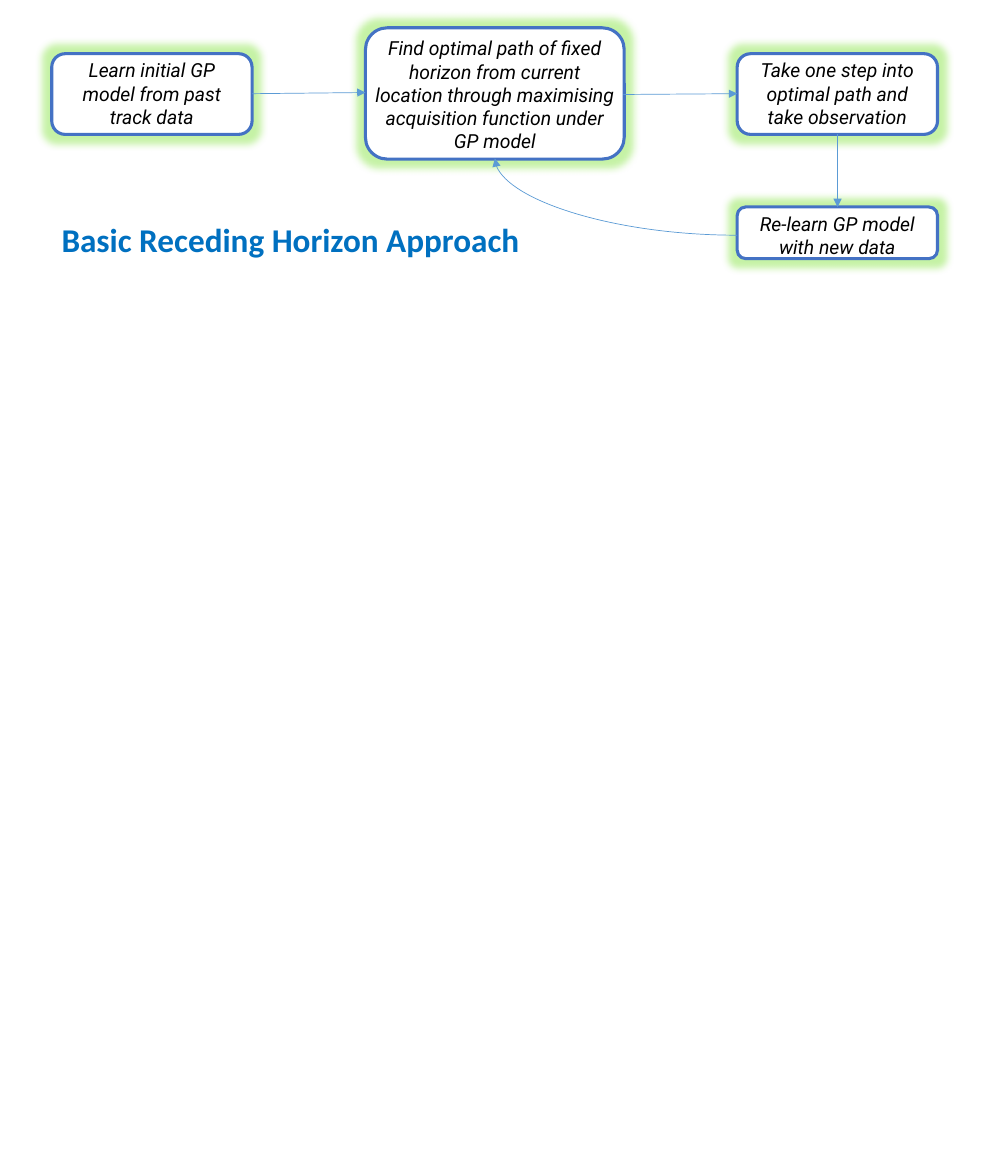
"""Build the Basic Receding Horizon Approach flow slide."""
import pptx
import pptx.util
import pptx.dml.color
import pptx.enum.shapes
import pptx.enum.text
import pptx.oxml
from lxml import etree

Cm, Pt = pptx.util.Cm, pptx.util.Pt
SHAPE = pptx.enum.shapes.MSO_SHAPE
LINK = pptx.enum.shapes.MSO_CONNECTOR
ALIGN = pptx.enum.text.PP_ALIGN
A = "http://schemas.openxmlformats.org/drawingml/2006/main"


def color(hex_value):
    return pptx.dml.color.RGBColor.from_string(hex_value)


def add_text(box, words, font, size, hex_value, align, bold=False, italic=False):
    textbox = slide.shapes.add_textbox(*[Cm(length) for length in box])
    textbox.text_frame.word_wrap = True
    textbox.text_frame.auto_size = pptx.enum.text.MSO_AUTO_SIZE.SHAPE_TO_FIT_TEXT
    paragraph = textbox.text_frame.paragraphs[0]
    paragraph.alignment = align
    run = paragraph.add_run()
    run.text = words
    run.font.name, run.font.size = font, Pt(size)
    run.font.bold, run.font.italic = bold, italic
    run.font.color.rgb = color(hex_value)


deck = pptx.Presentation()
deck.slide_width, deck.slide_height = Cm(25.4), Cm(30)
slide = deck.slides.add_slide(deck.slide_layouts[6])

STEP_WIDTH, STEP_HEIGHT = 5.11, 2.06
FIRST_LEFT, LAST_LEFT, STEP_TOP = 1.32, 18.8, 1.37
steps = [
    ("Learn initial GP model from past track data",
     FIRST_LEFT, STEP_TOP, STEP_WIDTH, STEP_HEIGHT, STEP_TOP, STEP_HEIGHT),
    ("Find optimal path of fixed horizon from current location through "
     "maximising acquisition function under GP model",
     9.32, 0.71, 6.6, 3.35, 0.81, 3.25),
    ("Take one step into optimal path and take observation",
     LAST_LEFT, STEP_TOP, STEP_WIDTH, STEP_HEIGHT, STEP_TOP, STEP_HEIGHT),
    ("Re-learn GP model with new data",
     LAST_LEFT, 5.28, STEP_WIDTH, 1.32, 5.28, 1.45),
]
glow_xml = (f'<a:glow xmlns:a="{A}" rad="139700"><a:srgbClr val="70E020">'
            '<a:alpha val="40000"/></a:srgbClr></a:glow>')

for words, left, top, width, height, text_top, text_height in steps:
    step = slide.shapes.add_shape(
        SHAPE.ROUNDED_RECTANGLE, Cm(left), Cm(top), Cm(width), Cm(height))
    step.shadow.inherit = False
    step.fill.solid()
    step.fill.fore_color.rgb = color("FFFFFF")
    step.line.color.rgb = color("4472C4")
    step.line.width = Pt(2.25)
    effects = step._element.spPr.find(f"{{{A}}}effectLst")
    effects.append(pptx.oxml.parse_xml(glow_xml))
    add_text((left, text_top, width, text_height), words,
             "Roboto", 14, "000000", ALIGN.CENTER, italic=True)

arrows = [
    (LINK.STRAIGHT, 6.43, 2.39, 9.32, 2.36),
    (LINK.STRAIGHT, 15.9, 2.41, 18.8, 2.39),
    (LINK.STRAIGHT, 21.36, 3.43, 21.36, 5.28),
    (LINK.CURVE, 12.62, 4.04, 18.8, 6.0),
]
for kind, *ends in arrows:
    arrow = slide.shapes.add_connector(kind, *[Cm(length) for length in ends])
    arrow.line.color.rgb = color("5B9BD5")
    arrow.line.width = Pt(0.5)
    properties = arrow._element.spPr
    etree.SubElement(properties.find(f"{{{A}}}ln"), f"{{{A}}}tailEnd", type="triangle")
    etree.SubElement(properties, f"{{{A}}}effectLst")
    if kind == LINK.CURVE:
        properties.find(f"{{{A}}}prstGeom").set("prst", "curvedConnector2")
        properties.find(f"{{{A}}}xfrm").set("rot", "10800000")

add_text((FIRST_LEFT, 5.46, 14.86, 1.27), "Basic Receding Horizon Approach",
         "Calibri", 24, "0070C0", ALIGN.LEFT, bold=True)

deck.save("out.pptx")
